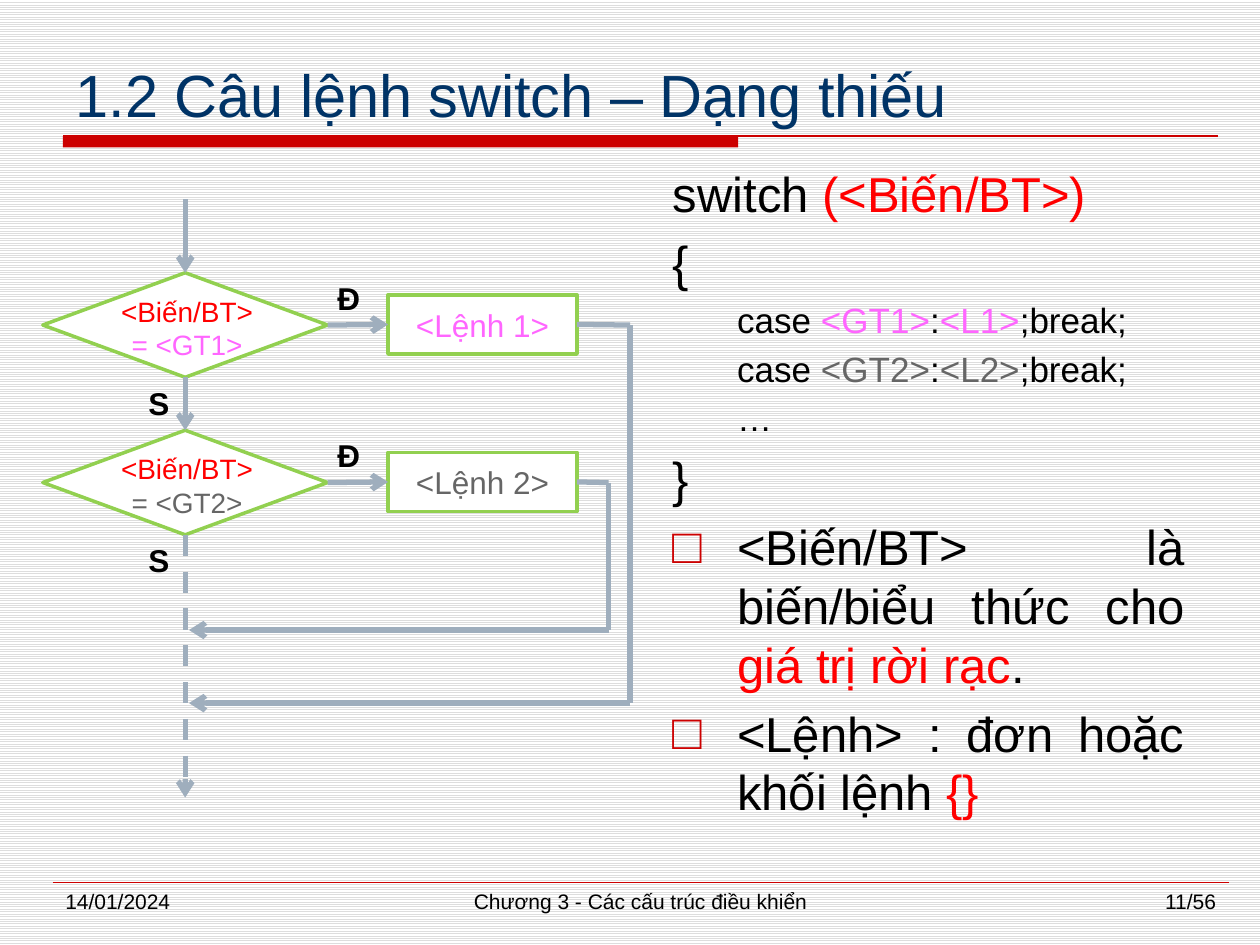
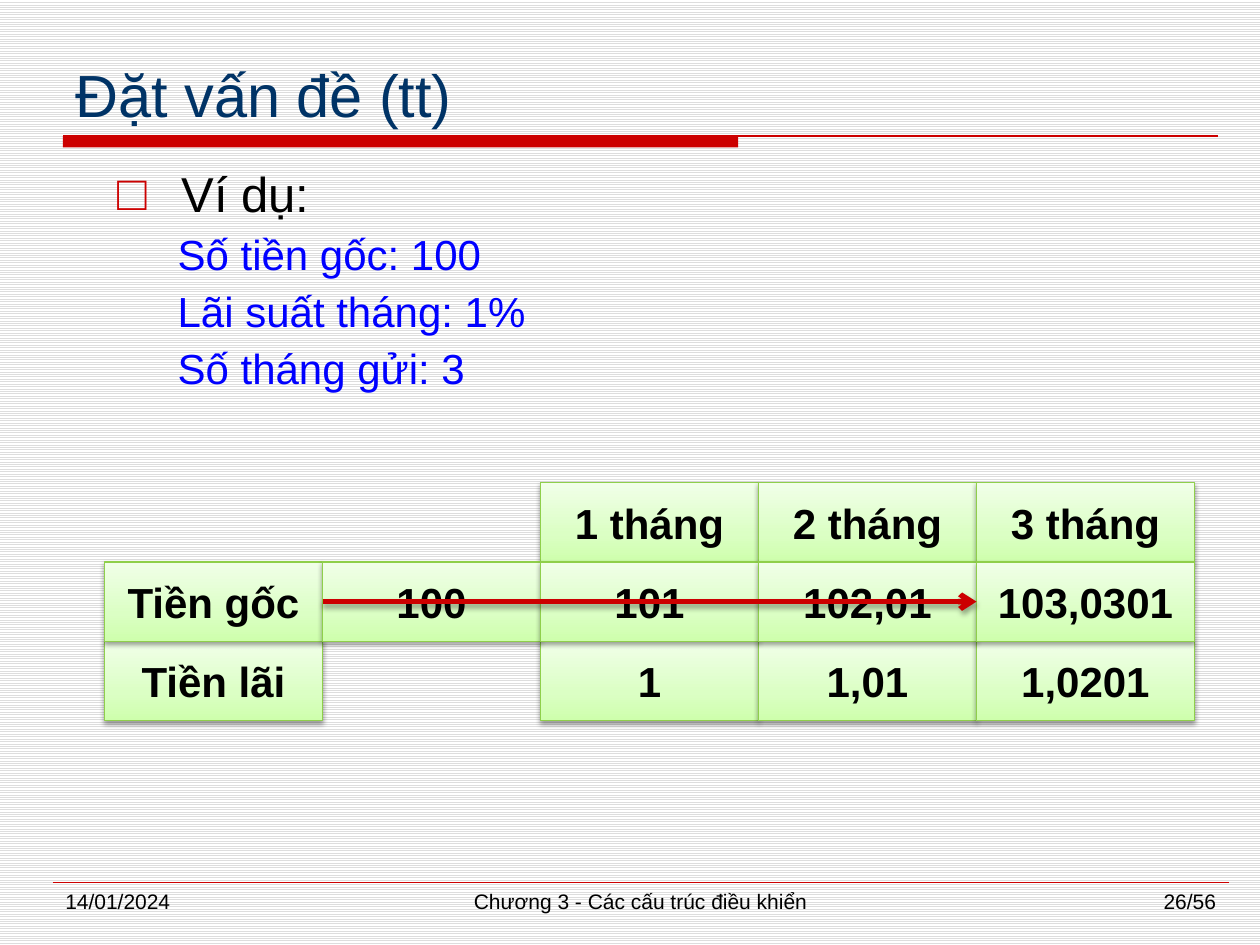
import copy

import lxml.etree
import pptx
import pptx.dml.color
import pptx.enum.dml
import pptx.enum.shapes
import pptx.enum.text
import pptx.oxml.ns
import pptx.util

COLORS = {
    "title": "003366", "red": "CC0000", "text": "000000", "accent": "FF0000",
    "pink": "FF66FF", "gray": "666666", "blue": "0000FF", "white": "FFFFFF",
    "stripe": "DDDDDD", "flow": "9FAEBD", "outline": "92D050", "cell_line": "8FCF4B",
}
CELL_GRADIENT = [(0, "CEFFAC"), (0.35, "DBFFC4"), (1, "F1FFE9")]
FONT = "Arial"
BODY_TOP, BODY_HEIGHT, BODY_RIGHT = 1.25, 5.67, 9.5
BULLET_INDENT, SUBLIST_INDENT = 0.51, 0.48
FLOW_X, FLOW_Y, FLOW_STEP = 1.47, 2.58, 1.25
DIAMOND_WIDTH, DIAMOND_HEIGHT = 2.26, 0.83
GRID_LEFT, GRID_TOP, COLUMN_WIDTH, ROW_HEIGHT = 0.83, 3.83, 1.73, 0.63

SHAPES = pptx.enum.shapes.MSO_SHAPE
ALIGN = pptx.enum.text.PP_ALIGN
ANCHOR = pptx.enum.text.MSO_ANCHOR


def inches(*lengths):
    """Convert lengths in inches to slide units."""
    return [pptx.util.Inches(length) for length in lengths]


def rgb(name):
    """Look up a named colour."""
    return pptx.dml.color.RGBColor.from_string(COLORS[name])


def add_xml(parent, tag, **attributes):
    """Append a drawing element to its parent."""
    values = {key: str(value) for key, value in attributes.items()}
    return lxml.etree.SubElement(parent, pptx.oxml.ns.qn(tag), values)


def add_shadow(effects, opacity, distance):
    """Append a soft downward shadow to an effect list."""
    shadow = add_xml(effects, "a:outerShdw", blurRad=pptx.util.Pt(3.1),
                     dist=pptx.util.Pt(distance), dir=90 * 60000, rotWithShape=0)
    color = add_xml(shadow, "a:srgbClr", val=COLORS["text"])
    add_xml(color, "a:alpha", val=opacity * 1000)


def add_runs(paragraph, runs, size, bold=False):
    """Add (text, colour) runs to a paragraph."""
    for text, color in runs:
        run = paragraph.add_run()
        run.text = text
        run.font.name = FONT
        run.font.size = pptx.util.Pt(size)
        run.font.bold = bold
        run.font.color.rgb = rgb(color)


def write_lines(shape, lines, size, align=ALIGN.CENTER, anchor=ANCHOR.MIDDLE,
                bold=False, wrap=True):
    """Write one paragraph for each (text, colour) line."""
    frame = shape.text_frame
    frame.word_wrap = wrap
    frame.vertical_anchor = anchor
    frame.text = "\n".join(text for text, _ in lines)
    for paragraph, (_, color) in zip(frame.paragraphs, lines):
        paragraph.alignment = align
        font = paragraph.runs[0].font
        font.name, font.size, font.bold = FONT, pptx.util.Pt(size), bold
        font.color.rgb = rgb(color)


def add_label(slide, box, lines, size, **style):
    """Add a text box."""
    label = slide.shapes.add_textbox(*inches(*box))
    write_lines(label, lines, size, **style)


def add_box(slide, kind, box, fill, line=None, width=2):
    """Add a flat preset shape."""
    shape = slide.shapes.add_shape(kind, *inches(*box))
    shape.shadow.inherit = False
    shape.fill.solid()
    shape.fill.fore_color.rgb = rgb(fill)
    if line:
        shape.line.color.rgb = rgb(line)
        shape.line.width = pptx.util.Pt(width)
    else:
        shape.line.fill.background()
    return shape


def add_line(slide, start, end, color="flow", width=3, arrow=False, dashed=False):
    """Draw a line between points or (shape, side) pairs."""
    joins = [not isinstance(place[0], (int, float)) for place in (start, end)]
    points = [(0, 0) if joined else place for joined, place in zip(joins, (start, end))]
    connector = slide.shapes.add_connector(
        pptx.enum.shapes.MSO_CONNECTOR.STRAIGHT, *inches(*points[0], *points[1]))
    if joins[0]:
        connector.begin_connect(*start)
    if joins[1]:
        connector.end_connect(*end)
    connector.line.color.rgb = rgb(color)
    connector.line.width = pptx.util.Pt(width)
    if dashed:
        connector.line.dash_style = pptx.enum.dml.MSO_LINE.DASH
    properties = connector._element.spPr
    if arrow:
        add_xml(properties.find(pptx.oxml.ns.qn("a:ln")), "a:tailEnd", type="arrow")
    return add_xml(properties, "a:effectLst")


def add_slide(presentation, title, page):
    """Add a slide with the shared background, title, band and footer."""
    slide = presentation.slides.add_slide(presentation.slide_layouts[1])
    background = slide.background.fill
    background.patterned()
    background.pattern = pptx.enum.dml.MSO_PATTERN.LIGHT_HORIZONTAL
    background.fore_color.rgb = rgb("stripe")
    background.back_color.rgb = rgb("white")

    add_box(slide, SHAPES.RECTANGLE, (0.5, 1.08, 5.36, 0.09), "red")
    add_line(slide, (0.5, 1.08), (9.67, 1.08), "red", 1.5)
    add_line(slide, (0.42, 7), (9.75, 7), "red", 0.25)
    heading = slide.shapes.title
    heading.left, heading.top, heading.width, heading.height = inches(0.5, 0.33, 9.17, 0.75)
    write_lines(heading, [(title, "title")], 34, ALIGN.LEFT, ANCHOR.BOTTOM)
    heading.text_frame.auto_size = pptx.enum.text.MSO_AUTO_SIZE.NONE

    footers = [(0.42, 2.17, "14/01/2024", ALIGN.LEFT),
               (2.92, 4.33, "Chương 3 - Các cấu trúc điều khiển", ALIGN.CENTER),
               (7.58, 2.17, f"{page}/56", ALIGN.RIGHT)]
    for left, width, text, align in footers:
        add_label(slide, (left, 7, width, 0.35), [(text, "text")], 12,
                  align=align, anchor=ANCHOR.TOP)
    return slide


def fill_body(slide, left, items):
    """Fill the body placeholder with (runs, size, bulleted, level) items."""
    body = slide.placeholders[1]
    body.left, body.top, body.width, body.height = inches(
        left, BODY_TOP, BODY_RIGHT - left, BODY_HEIGHT)
    frame = body.text_frame
    frame.auto_size = pptx.enum.text.MSO_AUTO_SIZE.NONE
    for index, (runs, size, bulleted, level) in enumerate(items):
        paragraph = frame.add_paragraph() if index else frame.paragraphs[0]
        paragraph.level = level
        paragraph.alignment = ALIGN.JUSTIFY
        share = 0.15 if level else 0.2
        paragraph.space_before = pptx.util.Pt(size * share if index else 0)
        properties = paragraph._p.get_or_add_pPr()
        margin, = inches(SUBLIST_INDENT if level else BULLET_INDENT)
        properties.set("marL", str(margin))
        properties.set("indent", str(0 if level else -margin))
        if bulleted:
            add_xml(add_xml(properties, "a:buClr"), "a:srgbClr", val=COLORS["red"])
            add_xml(properties, "a:buFont", typeface=FONT)
            add_xml(properties, "a:buChar", char="□")
        else:
            add_xml(properties, "a:buNone")
        add_runs(paragraph, runs, size)


def case_item(number, color):
    """Describe one case line of the switch statement."""
    runs = [("\tcase ", "text"), (f"<GT{number}>", color), (":", "text"),
            (f"<L{number}>", color), (";break;", "text")]
    return runs, 20, False, 0


def add_decision(slide, number, color, exit_x, return_y):
    """Add a decision, its command and the path back to the main flow."""
    middle = FLOW_Y + (number - 1) * FLOW_STEP
    top = middle - DIAMOND_HEIGHT / 2
    diamond = add_box(slide, SHAPES.DIAMOND,
                      (FLOW_X - DIAMOND_WIDTH / 2, top, DIAMOND_WIDTH, DIAMOND_HEIGHT),
                      "white", "outline")
    add_label(slide, (0.65, middle - 0.19, 1.67, 0.42),
              [("<Biến/BT>", "accent"), (f"= <GT{number}>", color)], 16)
    command = add_box(slide, SHAPES.RECTANGLE, (3.08, middle - 0.24, 1.5, 0.47),
                      "white", "outline")
    write_lines(command, [(f"<Lệnh {number}>", color)], 18)

    add_line(slide, (diamond, 3), (command, 1), arrow=True)
    add_line(slide, (command, 3), (exit_x, middle))
    add_line(slide, (exit_x, middle), (exit_x, return_y))
    add_line(slide, (exit_x, return_y), (1.5, return_y), arrow=True)
    for text, left, offset, width in [("Đ", 2.58, 0, 0.41), ("S", 1.08, 0.83, 0.38)]:
        add_label(slide, (left, top + offset, width, 0.4), [(text, "text")], 18,
                  align=ALIGN.LEFT, anchor=ANCHOR.TOP, bold=True, wrap=False)
    return diamond


def add_cell(slide, column, row, text):
    """Add a shaded cell at a place in the savings grid."""
    box = (GRID_LEFT + column * COLUMN_WIDTH, GRID_TOP + row * ROW_HEIGHT,
           COLUMN_WIDTH, ROW_HEIGHT)
    cell = add_box(slide, SHAPES.RECTANGLE, box, "white", "cell_line", 0.75)
    cell.fill.gradient()
    cell.fill.gradient_angle = 90
    properties = cell._element.spPr
    stops = properties.find(".//" + pptx.oxml.ns.qn("a:gsLst"))
    stops.append(copy.deepcopy(stops[-1]))
    for stop, (position, color) in zip(cell.fill.gradient_stops, CELL_GRADIENT):
        stop.position = position
        stop.color.rgb = pptx.dml.color.RGBColor.from_string(color)
    add_shadow(properties.find(pptx.oxml.ns.qn("a:effectLst")), 38, 1.6)
    write_lines(cell, [(text, "text")], 24, bold=True)
    return cell


def build_switch_slide(presentation):
    """Build the switch flowchart and its syntax."""
    slide = add_slide(presentation, "1.2 Câu lệnh switch – Dạng thiếu", 11)
    fill_body(slide, 5.24, [
        ([("switch ", "text"), ("(<Biến/BT>)", "accent")], 28, False, 0),
        ([("{", "text")], 28, False, 0),
        case_item(1, "pink"),
        case_item(2, "gray"),
        ([("\t…", "text")], 20, False, 0),
        ([("}", "text")], 28, False, 0),
        ([("<Biến/BT> là biến/biểu thức cho ", "text"),
          ("giá trị rời rạc", "accent"), (".", "text")], 28, True, 0),
        ([("<Lệnh> : đơn hoặc khối lệnh ", "text"), ("{}", "accent")], 28, True, 0),
    ])
    first = add_decision(slide, 1, "pink", 5, 5.58)
    second = add_decision(slide, 2, "gray", 4.83, 5)
    add_line(slide, (FLOW_X, 1.58), (first, 0), arrow=True)
    add_line(slide, (first, 2), (second, 0), arrow=True)
    add_line(slide, (second, 2), (FLOW_X, 6.33), arrow=True, dashed=True)


def build_savings_slide(presentation):
    """Build the savings example with its grid of amounts."""
    slide = add_slide(presentation, "Đặt vấn đề (tt)", 26)
    facts = ["Số tiền gốc: 100", "Lãi suất tháng: 1%", "Số tháng gửi: 3"]
    fill_body(slide, GRID_LEFT, [([("Ví dụ:", "text")], 28, True, 0)]
              + [([(fact, "blue")], 24, False, 1) for fact in facts])
    rows = {
        0: ["", "", "1 tháng", "2 tháng", "3 tháng"],
        2: ["Tiền lãi", "", "1", "1,01", "1,0201"],
        1: ["Tiền gốc", "100", "101", "102,01", "103,0301"],
    }
    cells = {(column, row): add_cell(slide, column, row, text)
             for row, texts in rows.items()
             for column, text in enumerate(texts) if text}
    effects = add_line(slide, (cells[1, 1], 1), (cells[4, 1], 1), "red", arrow=True)
    add_shadow(effects, 35, 1.8)


def main():
    """Build and save the presentation."""
    presentation = pptx.Presentation()
    presentation.slide_width, presentation.slide_height = inches(10, 7.5)
    build_switch_slide(presentation)
    build_savings_slide(presentation)
    presentation.save("out.pptx")


if __name__ == "__main__":
    main()
